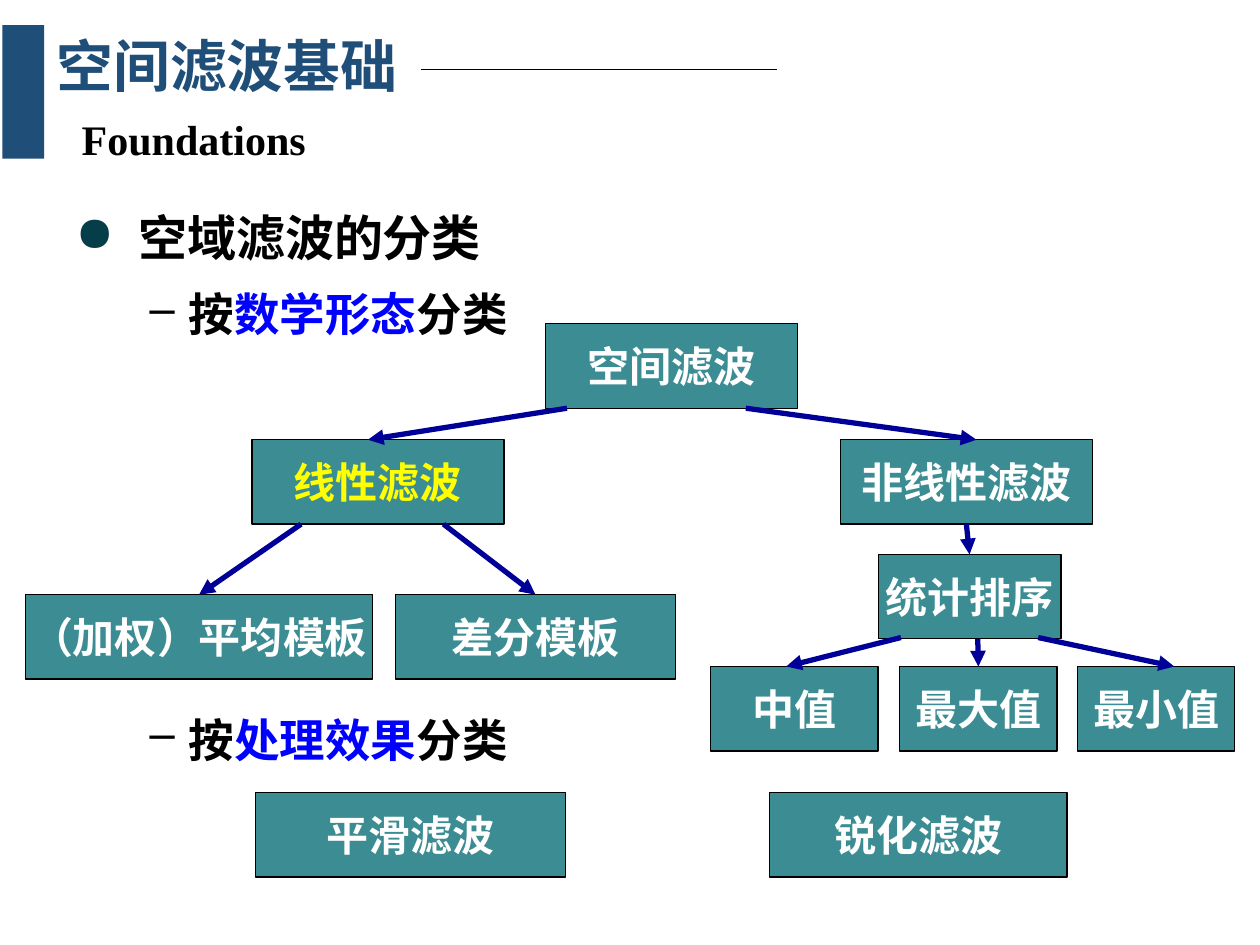
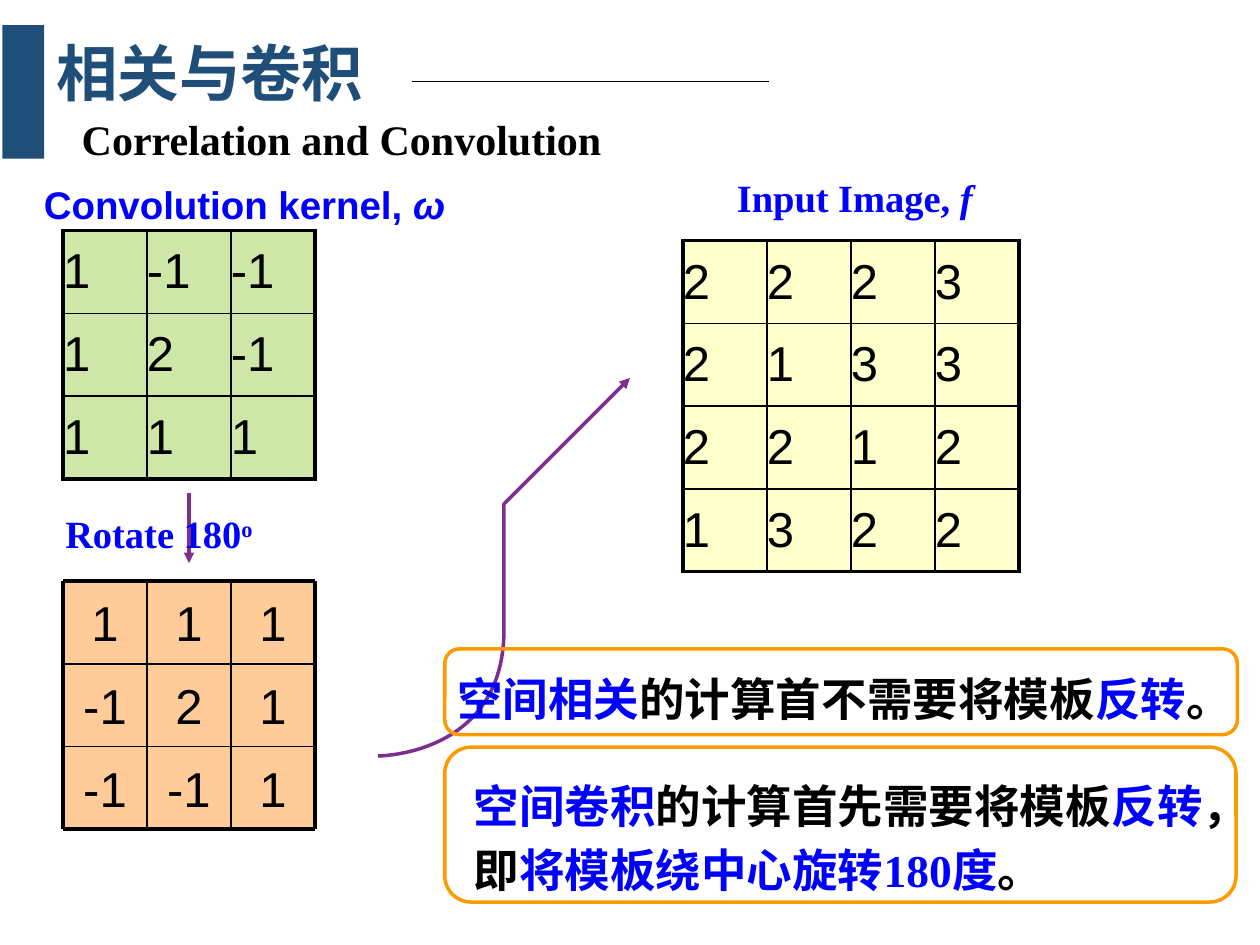
from lxml.etree import SubElement
from pptx import Presentation
from pptx.dml.color import RGBColor
from pptx.enum.shapes import MSO_CONNECTOR, MSO_SHAPE
from pptx.enum.text import MSO_ANCHOR, MSO_AUTO_SIZE, PP_ALIGN
from pptx.oxml.ns import qn
from pptx.util import Inches, Pt

BLACK = RGBColor(0, 0, 0)
WHITE = RGBColor(255, 255, 255)
NAVY = RGBColor(0x1F, 0x4E, 0x79)
TEAL = RGBColor(0x3C, 0x8C, 0x93)
DARK_TEAL = RGBColor(0x05, 0x3E, 0x49)
BLUE = RGBColor(0, 0, 255)
ARROW_BLUE = RGBColor(0, 0, 0x99)
YELLOW = RGBColor(255, 255, 0)
PURPLE = RGBColor(0x7D, 0x2E, 0x8F)
ORANGE = RGBColor(255, 0x99, 0)
GREEN_CELL = RGBColor(0xCE, 0xE7, 0xA9)
YELLOW_CELL = RGBColor(255, 255, 0xCC)
PEACH_CELL = RGBColor(255, 0xCC, 0x99)

SERIF = "Times New Roman"
SANS = "Arial"
CJK = "Noto Sans CJK SC"

CELL_WIDTH = 2 / 3
CELL_HEIGHT = 0.657
THICK, THIN = 2.25, 1

KERNEL = [[1, -1, -1], [1, 2, -1], [1, 1, 1]]
INPUT_IMAGE = [[2, 2, 2, 3], [2, 1, 3, 3], [2, 2, 1, 2], [1, 3, 2, 2]]


def inches(*values):
    return [Inches(value) for value in values]


def format_font(paragraph, size, color, name=SERIF, bold=True):
    font = paragraph.font
    font.size, font.bold, font.name = Pt(size), bold, name
    font.color.rgb = color
    properties = paragraph._p.pPr.find(qn("a:defRPr"))
    latin = properties.find(qn("a:latin"))
    east_asian = SubElement(properties, qn("a:ea"))
    east_asian.set("typeface", CJK)
    latin.addnext(east_asian)


def add_runs(paragraph, *pieces):
    for text, color in pieces:
        run = paragraph.add_run()
        run.text = text
        if color is not None:
            run.font.color.rgb = color


def add_text(slide, box, pieces, size, color, name=SERIF, wrap=True):
    shape = slide.shapes.add_textbox(*inches(*box))
    shape.text_frame.word_wrap = wrap
    paragraph = shape.text_frame.paragraphs[0]
    add_runs(paragraph, *pieces)
    format_font(paragraph, size, color, name)
    return shape


def add_arrowhead(shape):
    line = shape._element.spPr.find(qn("a:ln"))
    SubElement(line, qn("a:tailEnd")).set("type", "triangle")


def add_line(shapes, start, end, color, width, arrow=False):
    line = shapes.add_connector(MSO_CONNECTOR.STRAIGHT, *inches(*start, *end))
    line.line.color.rgb = color
    line.line.width = Pt(width)
    SubElement(line._element.spPr, qn("a:effectLst"))
    if arrow:
        add_arrowhead(line)
    return line


def add_box(shapes, box, kind=MSO_SHAPE.RECTANGLE, fill=None, line=None, width=0.75):
    shape = shapes.add_shape(kind, *inches(*box))
    shape.shadow.inherit = False
    if fill is None:
        shape.fill.background()
    else:
        shape.fill.solid()
        shape.fill.fore_color.rgb = fill
    if line is None:
        shape.line.fill.background()
    else:
        shape.line.color.rgb = line
        shape.line.width = Pt(width)
    return shape


def add_node(slide, text, left, top, width, color=WHITE):
    shape = add_box(slide.shapes, (left, top, width, 0.67), fill=TEAL, line=BLACK)
    frame = shape.text_frame
    frame.word_wrap = False
    frame.vertical_anchor = MSO_ANCHOR.MIDDLE
    paragraph = frame.paragraphs[0]
    paragraph.alignment = PP_ALIGN.CENTER
    add_runs(paragraph, (text, None))
    format_font(paragraph, 24, color)
    return shape


def add_heading(presentation, title, title_box, size, subtitle, rule_start):
    slide = presentation.slides.add_slide(presentation.slide_layouts[5])
    add_box(slide.shapes, (0.02, 0.2, 0.33, 1.06), fill=NAVY)
    heading = slide.shapes.title
    heading.left, heading.top, heading.width, heading.height = inches(*title_box)
    heading.text_frame.text = title
    subheading = add_text(slide, (0.55, 0.68, 4.51, 0.89), [(subtitle, None)], 24, BLACK)
    for shape in (heading, subheading):
        frame = shape.text_frame
        frame.auto_size = MSO_AUTO_SIZE.NONE
        frame.vertical_anchor = MSO_ANCHOR.MIDDLE
        frame.paragraphs[0].alignment = PP_ALIGN.LEFT
        frame.paragraphs[0].line_spacing = 0.9
    format_font(heading.text_frame.paragraphs[0], size, NAVY, CJK)
    left, top = rule_start
    add_line(slide.shapes, rule_start, (left + 2.83, top), BLACK, 0.5)
    return slide


def add_bullet(paragraph, character, margin, indent, color=None):
    properties = paragraph._p.get_or_add_pPr()
    properties.set("marL", str(Inches(margin)))
    properties.set("indent", str(Inches(indent)))
    if color is not None:
        bullet_color = SubElement(properties, qn("a:buClr"))
        SubElement(bullet_color, qn("a:srgbClr")).set("val", str(color))
    SubElement(properties, qn("a:buChar")).set("char", character)


def add_outline(slide):
    frame = slide.shapes.add_textbox(*inches(0.5, 1.51, 9, 5.5)).text_frame
    frame.word_wrap = True
    topic = frame.paragraphs[0]
    topic.line_spacing = Pt(40)
    add_bullet(topic, "●", 0.5, -0.5, DARK_TEAL)
    add_runs(topic, ("空域滤波的分类", None))
    format_font(topic, 28, BLACK, SANS)
    for criterion, gap in (("数学形态", 5.6), ("处理效果", 206)):
        paragraph = frame.add_paragraph()
        paragraph.line_spacing = Pt(37)
        paragraph.space_before = Pt(gap)
        add_bullet(paragraph, "–", 0.9, -0.31)
        add_runs(paragraph, ("按", None), (criterion, BLUE), ("分类", None))
        format_font(paragraph, 26, BLACK, SANS)


def set_border(cell, side, width):
    line = SubElement(cell._tc.get_or_add_tcPr(), qn(f"a:ln{side}"))
    line.set("w", str(Pt(width)))
    fill = SubElement(line, qn("a:solidFill"))
    SubElement(fill, qn("a:srgbClr")).set("val", str(BLACK))


def add_matrix_table(slide, left, top, values, fill):
    rows, columns = len(values), len(values[0])
    size = (columns * CELL_WIDTH, rows * CELL_HEIGHT)
    table = slide.shapes.add_table(rows, columns, *inches(left, top, *size)).table
    table.first_row = table.horz_banding = False
    for r, row in enumerate(values):
        for c, value in enumerate(row):
            cell = table.cell(r, c)
            outer = {"L": c == 0, "R": c == columns - 1, "T": r == 0, "B": r == rows - 1}
            for side, is_outer in outer.items():
                set_border(cell, side, THICK if is_outer else THIN)
            cell.fill.solid()
            cell.fill.fore_color.rgb = fill
            format_number(cell, cell.text_frame, value)
            cell.vertical_anchor = MSO_ANCHOR.MIDDLE


def format_number(margins, frame, value, alignment=PP_ALIGN.LEFT):
    margins.margin_left = margins.margin_right = 0
    margins.margin_top = margins.margin_bottom = 0
    paragraph = frame.paragraphs[0]
    paragraph.alignment = alignment
    add_runs(paragraph, (str(value), None))
    format_font(paragraph, 28, BLACK, SANS, bold=False)


def add_matrix_group(slide, left, top, values, fill):
    shapes = slide.shapes.add_group_shape().shapes
    count = len(values)
    right, bottom = left + count * CELL_WIDTH, top + count * CELL_HEIGHT
    for r, row in enumerate(values):
        for c, value in enumerate(row):
            box = (left + c * CELL_WIDTH, top + r * CELL_HEIGHT, CELL_WIDTH, CELL_HEIGHT)
            shape = add_box(shapes, box, fill=fill)
            frame = shape.text_frame
            frame.vertical_anchor = MSO_ANCHOR.MIDDLE
            format_number(frame, frame, value, PP_ALIGN.CENTER)
    for index in range(count + 1):
        width = THICK if index in (0, count) else THIN
        x, y = left + index * CELL_WIDTH, top + index * CELL_HEIGHT
        add_line(shapes, (left, y), (right, y), BLACK, width)
        add_line(shapes, (x, top), (x, bottom), BLACK, width)


def add_curved_arrow(slide, start, points):
    builder = slide.shapes.build_freeform(*start, scale=Inches(1))
    builder.add_line_segments(points, close=False)
    curve = builder.convert_to_shape()
    segments = curve._element.xpath(".//a:lnTo")
    outline = segments[0].getparent()
    for index in range(0, len(segments), 3):
        bezier = SubElement(outline, qn("a:cubicBezTo"))
        for segment in segments[index:index + 3]:
            bezier.append(segment[0])
            outline.remove(segment)
    curve.shadow.inherit = False
    curve.fill.background()
    curve.line.color.rgb = PURPLE
    curve.line.width = Pt(2)
    add_arrowhead(curve)


def add_note(slide, text_box, frame_box, corner, pieces):
    text = add_text(slide, text_box, pieces, 26, BLACK)
    text.text_frame.paragraphs[0].line_spacing = Pt(36.6)
    frame = add_box(slide.shapes, frame_box, MSO_SHAPE.ROUNDED_RECTANGLE, line=ORANGE, width=2)
    frame.adjustments[0] = corner


def build_classification(presentation):
    slide = add_heading(presentation, "空间滤波基础", (0.35, 0.11, 2.99, 0.87), 32.4,
                        "Foundations", (3.34, 0.55))
    add_outline(slide)
    add_node(slide, "锐化滤波", 6.11, 6.29, 2.36)
    add_node(slide, "平滑滤波", 2.03, 6.29, 2.46)
    add_node(slide, "空间滤波", 4.33, 2.57, 2)
    nonlinear = add_node(slide, "非线性滤波", 6.67, 3.49, 2)
    add_node(slide, "线性滤波", 2, 3.49, 2, YELLOW)
    add_node(slide, "中值", 5.64, 5.29, 1.33)
    add_node(slide, "最小值", 8.55, 5.29, 1.25)
    maximum = add_node(slide, "最大值", 7.14, 5.29, 1.25)
    ranking = add_node(slide, "统计排序", 6.97, 4.4, 1.45)
    difference = add_node(slide, "差分模板", 3.14, 4.72, 2.22)
    average = add_node(slide, "（加权）平均模板", 0.2, 4.72, 2.76)
    arrows = [
        ((4.5, 3.24), (2.92, 3.49), None, None),
        ((5.92, 3.24), (7.75, 3.49), None, None),
        ((7.15, 5.06), (6.24, 5.29), None, None),
        ((8.24, 5.06), (9.32, 5.29), None, None),
        ((7.76, 5.07), (7.76, 5.29), None, maximum),
        ((7.68, 4.16), (7.68, 4.4), nonlinear, ranking),
        ((2.39, 4.16), (1.6, 4.72), None, average),
        ((3.52, 4.16), (4.21, 4.72), None, difference),
    ]
    for start, end, source, target in arrows:
        arrow = add_line(slide.shapes, start, end, ARROW_BLUE, 3, arrow=True)
        if source is not None:
            arrow.begin_connect(source, 2)
        if target is not None:
            arrow.end_connect(target, 0)


def build_convolution(presentation):
    slide = add_heading(presentation, "相关与卷积", (0.35, 0.11, 5.22, 1), 35.1,
                        "Correlation and Convolution", (3.27, 0.65))
    add_matrix_table(slide, 0.5, 1.83, KERNEL, GREEN_CELL)
    add_matrix_table(slide, 5.42, 1.91, INPUT_IMAGE, YELLOW_CELL)
    add_line(slide.shapes, (1.5, 3.91), (1.5, 4.47), PURPLE, 2, arrow=True)
    rotate = add_text(slide, (0.42, 4, 2.67, 0.47), [("Rotate 180", None), ("o", None)], 22, BLUE)
    degree = rotate.text_frame.paragraphs[0].runs[1]
    degree._r.get_or_add_rPr().set("baseline", "30000")
    add_curved_arrow(slide, (2.75, 5.66), [
        (3.23, 5.66), (3.72, 5.66), (3.93, 5.36),
        (4.15, 5.05), (3.88, 4.15), (4.05, 3.83),
        (4.23, 3.5), (4.62, 3.46), (5, 3.42)])
    rotated_kernel = [row[::-1] for row in KERNEL[::-1]]
    add_matrix_group(slide, 0.5, 4.61, rotated_kernel, PEACH_CELL)
    labels = [
        ((0.25, 1.39, 3.44, 0.47), "Convolution kernel, ", "ω", SANS),
        ((5.75, 1.33, 2.1, 0.47), "Input Image, ", "f", SERIF),
    ]
    for box, text, symbol, name in labels:
        label = add_text(slide, box, [(text, None), (symbol, None)], 22, BLUE, name, wrap=False)
        label.text_frame.paragraphs[0].runs[1].font.italic = True
    add_note(slide, (3.66, 6.05, 6.15, 1.1), (3.53, 5.93, 6.28, 1.23), 0.17, [
        ("空间卷积", BLUE), ("的计算首先需要将模板", None), ("反转", BLUE),
        ("，即", None), ("将模板绕中心旋转180度", BLUE), ("。", None)])
    add_note(slide, (3.53, 5.2, 6.17, 0.58), (3.53, 5.15, 6.29, 0.68), 0.17, [
        ("空间相关", BLUE), ("的计算首不需要将模板", None), ("反转", BLUE), ("。", None)])


def main():
    presentation = Presentation()
    presentation.slide_width, presentation.slide_height = inches(10, 7.5)
    build_classification(presentation)
    build_convolution(presentation)
    presentation.save("out.pptx")


if __name__ == "__main__":
    main()
